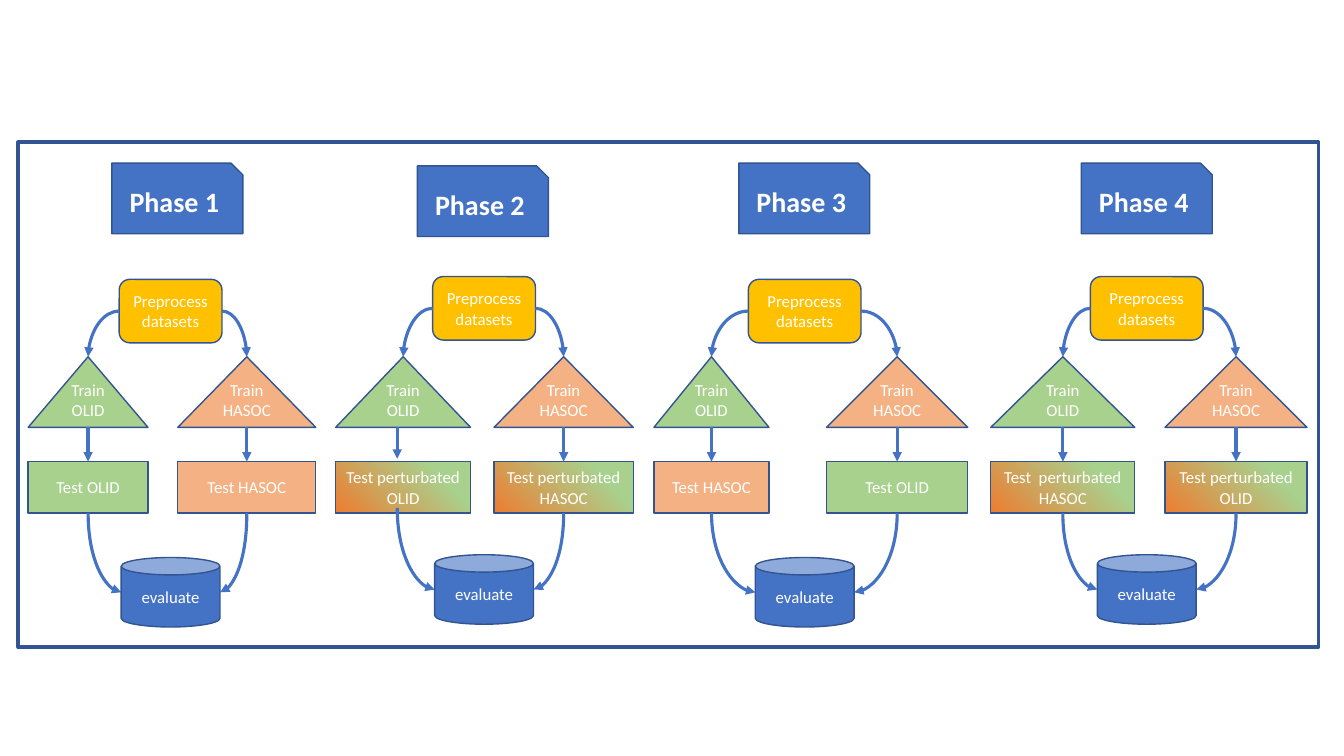
"""Build a slide that compares four train-and-test phases."""
from dataclasses import dataclass

from lxml import etree
from pptx import Presentation
from pptx.dml.color import RGBColor
from pptx.enum.shapes import MSO_CONNECTOR, MSO_SHAPE
from pptx.enum.text import MSO_ANCHOR, PP_ALIGN
from pptx.oxml.ns import qn
from pptx.shapes.autoshape import Shape
from pptx.shapes.connector import Connector
from pptx.slide import Slide
from pptx.util import Cm, Pt

RECTANGLE = MSO_SHAPE.RECTANGLE
ROUNDED = MSO_SHAPE.ROUNDED_RECTANGLE
SNIPPED = MSO_SHAPE.SNIP_1_RECTANGLE
TRIANGLE = MSO_SHAPE.ISOSCELES_TRIANGLE
CAN = MSO_SHAPE.CAN
STRAIGHT = MSO_CONNECTOR.STRAIGHT
CURVE = MSO_CONNECTOR.CURVE
CENTER = PP_ALIGN.CENTER
MIDDLE = MSO_ANCHOR.MIDDLE

BLUE = RGBColor(0x44, 0x72, 0xC4)
NAVY = RGBColor(0x32, 0x54, 0x91)
GREEN = RGBColor(0xA9, 0xD1, 0x8E)
PEACH = RGBColor(0xF4, 0xB1, 0x83)
ORANGE = RGBColor(0xED, 0x7D, 0x31)
GOLD = RGBColor(0xFF, 0xC0, 0x00)
WHITE = RGBColor(0xFF, 0xFF, 0xFF)

BODY_FORMAT = {"name": "Calibri", "size": Pt(12), "bold": False}
PHASE_FORMAT = {"name": "Calibri", "size": Pt(20), "bold": True}

PHASE_WIDTH, PHASE_HEIGHT = 3.3, 1.78
PREPROCESS_TOP, PREPROCESS_HEIGHT = 7.04, 1.6
TRAIN_TOP, TRAIN_HEIGHT = 8.99, 1.78
TEST_TOP, TEST_HEIGHT = 11.63, 1.3
EVALUATE_TOP, EVALUATE_WIDTH, EVALUATE_HEIGHT = 14.05, 2.49, 1.75
TRAIN_BOTTOM = TRAIN_TOP + TRAIN_HEIGHT
TEST_BOTTOM = TEST_TOP + TEST_HEIGHT


@dataclass
class Branch:
    """One training set with its test; no test colour means a gradient."""

    left: float
    width: float
    test: str
    test_color: RGBColor | None = None
    arrow_shift: float = 0
    arrow_rise: float = 0
    curve_rise: float = 0

    @property
    def center(self) -> float:
        """Return the horizontal middle of the branch."""
        return self.left + self.width / 2


@dataclass
class Phase:
    """One column of the diagram."""

    name: str
    left: float
    top: float
    center: float
    preprocess_width: float
    rise: float
    olid: Branch
    hasoc: Branch


PHASES = [
    Phase("Phase 1", 2.82, 4.11, 4.3, 2.59, 0,
          Branch(0.71, 3.02, "Test OLID", GREEN),
          Branch(4.48, 3.48, "Test HASOC", PEACH)),
    Phase("Phase 2", 10.52, 4.18, 12.2, 2.59, 0.07,
          Branch(8.46, 3.4, "Test perturbated OLID", None, -0.15, 0.07, 0.13),
          Branch(12.45, 3.51, "Test perturbated HASOC")),
    Phase("Phase 3", 18.62, 4.11, 20.28, 2.84, 0,
          Branch(16.48, 2.9, "Test HASOC", PEACH),
          Branch(20.83, 3.56, "Test OLID", GREEN)),
    Phase("Phase 4", 27.25, 4.11, 28.9, 2.84, 0.07,
          Branch(24.97, 3.63, "Test  perturbated HASOC"),
          Branch(29.36, 3.58, "Test perturbated OLID")),
]


def add_box(slide: Slide, kind: MSO_SHAPE, left: float, top: float, width: float,
            height: float, color: RGBColor | None, text: str,
            text_format: dict = BODY_FORMAT) -> Shape:
    """Add an outlined shape with centred white text."""
    shape = slide.shapes.add_shape(kind, Cm(left), Cm(top), Cm(width), Cm(height))
    shape.shadow.inherit = False
    shape.line.color.rgb = NAVY
    shape.line.width = Pt(1)
    if color is None:
        shape.fill.gradient()
        shape.fill.gradient_angle = 225
        for stop, position, stop_color in zip(
                shape.fill.gradient_stops, (0.23, 1), (GREEN, ORANGE)):
            stop.position = position
            stop.color.rgb = stop_color
    else:
        shape.fill.solid()
        shape.fill.fore_color.rgb = color
    shape.text_frame.word_wrap = True
    shape.text_frame.vertical_anchor = MIDDLE
    paragraph = shape.text_frame.paragraphs[0]
    paragraph.alignment = CENTER
    run = paragraph.add_run()
    run.text = text
    for attribute, value in text_format.items():
        setattr(run.font, attribute, value)
    run.font.color.rgb = WHITE
    return shape


def add_arrow(slide: Slide, kind: MSO_CONNECTOR, begin_x: float, begin_y: float,
              end_x: float, end_y: float) -> Connector:
    """Add a blue connector with a triangle at its end."""
    connector = slide.shapes.add_connector(
        kind, Cm(begin_x), Cm(begin_y), Cm(end_x), Cm(end_y))
    connector.line.color.rgb = BLUE
    connector.line.width = Pt(2.25)
    properties = connector._element.spPr
    etree.SubElement(properties.find(qn("a:ln")), qn("a:tailEnd"), type="triangle")
    etree.SubElement(properties, qn("a:effectLst"))
    if kind == CURVE:
        properties.find(qn("a:prstGeom")).set("prst", "curvedConnector2")
    return connector


def add_falling_curve(slide: Slide, begin_x: float, begin_y: float,
                      end_x: float, end_y: float) -> None:
    """Add a curve that leaves downwards and arrives sideways."""
    middle_x, middle_y = (begin_x + end_x) / 2, (begin_y + end_y) / 2
    half_width, half_height = (end_y - begin_y) / 2, abs(end_x - begin_x) / 2
    rightward = end_x > begin_x
    if rightward:
        half_width = -half_width
    connector = add_arrow(slide, CURVE, middle_x - half_width, middle_y - half_height,
                          middle_x + half_width, middle_y + half_height)
    degrees = 270 if rightward else 90
    connector._element.spPr.find(qn("a:xfrm")).set("rot", str(degrees * 60000))


def draw_branch(slide: Slide, phase: Phase, branch: Branch, name: str,
                color: RGBColor, side: int) -> None:
    """Draw a training triangle, its test box and their arrows."""
    triangle = add_box(slide, TRIANGLE, branch.left, TRAIN_TOP, branch.width,
                       TRAIN_HEIGHT, color, f"Train {name}")
    triangle.text_frame.margin_bottom = Cm(0.64)
    add_box(slide, RECTANGLE, branch.left, TEST_TOP, branch.width, TEST_HEIGHT,
            branch.test_color, branch.test)
    add_arrow(slide, CURVE, phase.center + side * phase.preprocess_width / 2,
              PREPROCESS_TOP - phase.rise + PREPROCESS_HEIGHT / 2,
              branch.center, TRAIN_TOP)
    arrow_x = branch.center + branch.arrow_shift
    add_arrow(slide, STRAIGHT, arrow_x, TRAIN_BOTTOM, arrow_x,
              TEST_TOP - branch.arrow_rise)
    add_falling_curve(slide, arrow_x, TEST_BOTTOM - branch.curve_rise,
                      phase.center + side * EVALUATE_WIDTH / 2,
                      EVALUATE_TOP - phase.rise + EVALUATE_HEIGHT / 2)


def draw_phase(slide: Slide, phase: Phase) -> None:
    """Draw one column from its heading to its evaluation."""
    add_box(slide, SNIPPED, phase.left, phase.top, PHASE_WIDTH, PHASE_HEIGHT,
            BLUE, phase.name, PHASE_FORMAT)
    add_box(slide, ROUNDED, phase.center - phase.preprocess_width / 2,
            PREPROCESS_TOP - phase.rise, phase.preprocess_width, PREPROCESS_HEIGHT,
            GOLD, "Preprocess datasets")
    draw_branch(slide, phase, phase.olid, "OLID", GREEN, -1)
    draw_branch(slide, phase, phase.hasoc, "HASOC", PEACH, 1)
    add_box(slide, CAN, phase.center - EVALUATE_WIDTH / 2, EVALUATE_TOP - phase.rise,
            EVALUATE_WIDTH, EVALUATE_HEIGHT, BLUE, "evaluate")


def main() -> None:
    """Create the presentation and save it."""
    presentation = Presentation()
    presentation.slide_width, presentation.slide_height = Cm(33.87), Cm(19.05)
    slide = presentation.slides.add_slide(presentation.slide_layouts[6])
    frame = slide.shapes.add_shape(RECTANGLE, Cm(0.46), Cm(3.58), Cm(32.77), Cm(12.73))
    frame.shadow.inherit = False
    frame.fill.background()
    frame.line.color.rgb = NAVY
    frame.line.width = Pt(2.5)
    for phase in PHASES:
        draw_phase(slide, phase)
    presentation.save("out.pptx")


if __name__ == "__main__":
    main()
